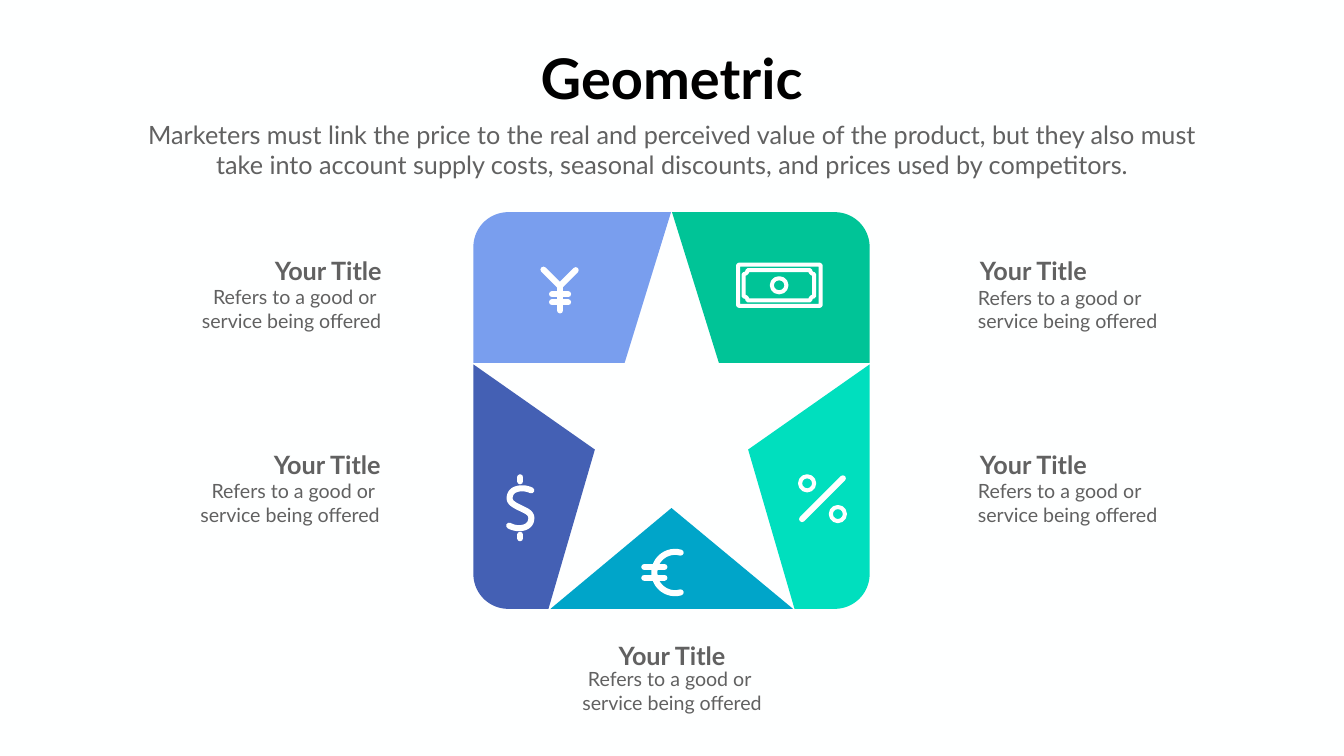
import math

from lxml import etree
from pptx import Presentation
from pptx import util as u
from pptx.dml.color import RGBColor
from pptx.enum import shapes, text
from pptx.oxml.ns import qn

PX = 9144  # one px is a hundredth of an inch
FONT, GREY, WHITE = "Lato", "616161", "FFFFFF"
STROKE, THIN = 12, 8


def arc(cx, cy, radius, start, end, steps=24):
    angles = [math.radians(start + (end - start) * i / steps) for i in range(steps + 1)]
    return [(cx + radius * math.cos(a), cy + radius * math.sin(a)) for a in angles]


def bezier(start, *curves, steps=10):
    points = [start]
    for b, c, d in curves:
        a = points[-1]
        for i in range(1, steps + 1):
            t = i / steps
            weights = ((1 - t) ** 3, 3 * t * (1 - t) ** 2, 3 * t * t * (1 - t), t ** 3)
            points.append(tuple(sum(w * p[k] for w, p in zip(weights, (a, b, c, d)))
                                for k in (0, 1)))
    return points


# Content
TITLE = "Geometric"
SUBTITLE = ("Marketers must link the price to the real and perceived value of the product, "
            "but they also must take into account supply costs, seasonal discounts, "
            "and prices used by competitors.")
LABEL = "Your Title"
BODY = "Refers to a good or \nservice being offered"
LEFT, CENTER, RIGHT = text.PP_ALIGN.LEFT, text.PP_ALIGN.CENTER, text.PP_ALIGN.RIGHT
LABELS = [  # label left and top, body left and top, alignment
    (1934, 502, 1930, 562, LEFT),
    (513, 502, 374, 561, RIGHT),
    (1934, 887, 1930, 946, LEFT),
    (511, 886, 371, 946, RIGHT),
    (1206, 1265, 1137, 1319, CENTER),
]

# Panels around the star
X1, Y1, X2, Y2, CORNER = 939, 421, 1725, 1208, 69
PANELS = [
    ("799EEE", [(1331, Y1), *arc(X1 + CORNER, Y1 + CORNER, CORNER, 270, 180),
                (X1, 720), (1239, 720)]),
    ("4460B4", [(X1, 723), *arc(X1 + CORNER, Y2 - CORNER, CORNER, 180, 90),
                (1088, Y2), (1180, 892)]),
    ("00DFBE", [(1484, 892), (1576, Y2),
                *arc(X2 - CORNER, Y2 - CORNER, CORNER, 90, 0), (X2, 723)]),
    ("00A5C9", [(1092, Y2), (1573, Y2), (1332, 1008)]),
    ("00C497", [(X2, 720), *arc(X2 - CORNER, Y1 + CORNER, CORNER, 0, -90),
                (1333, Y1), (1426, 720)]),
]
STAR_TIPS = [
    [(1086, 1212), (1092, Y2), (1088, Y2)],
    [(934, 720), (X1, 723), (X1, 720)],
    [(1578, 1212), (1576, Y2), (1572, Y2)],
    [(1730, 720), (X2, 720), (X2, 723)],
    [(1332, 417), (1331, Y1), (1333, Y1)],
]

# Icons
BARS = [
    (1032, 947, 1032, 955), (1032, 1061, 1032, 1068),                      # dollar
    (1278, 1125, 1318, 1125), (1278, 1146, 1318, 1146),                    # euro
    (1078, 535, 1111, 568), (1142, 536, 1110, 568), (1111, 569, 1111, 616),  # yen
    (1095, 584, 1127, 584), (1095, 600, 1127, 600),
    (1591, 1030, 1672, 949),                                               # percent
]
CURVES = [
    bezier((1054, 973),
           ((1041, 967), (1028, 968), (1019, 973)),
           ((1013, 977), (1011, 983), (1011, 989)),
           ((1011, 998), (1022, 1003), (1032, 1008)),
           ((1045, 1014), (1054, 1018), (1054, 1028)),
           ((1054, 1043), (1041, 1048), (1030, 1048)),
           ((1022, 1048), (1016, 1046), (1010, 1043))),
    arc(1339, 1136, 41, -74, -286),
]
KIND = shapes.MSO_SHAPE
OUTLINES = [  # kind, left, top, width, height, corner size
    (KIND.ROUNDED_RECTANGLE, 1464, 525, 164, 82, 3),
    (KIND.PLAQUE, 1475, 536, 140, 60, 8),
    (KIND.OVAL, 1531, 552, 29, 28, 0),
    (KIND.OVAL, 1587, 945, 28, 28, 0),
    (KIND.OVAL, 1648, 1006, 28, 28, 0),
]


def color(value):
    return RGBColor.from_string(value)


def set_stroke(shape, width):
    shape.line.color.rgb = color(WHITE)
    shape.line.width = u.Emu(width * PX)
    shape.line._get_or_add_ln().set("cap", "rnd")


def add_outline(slide, points, close):
    scaled = [(x * PX, y * PX) for x, y in points]
    builder = slide.shapes.build_freeform(*scaled[0], scale=1.0)
    builder.add_line_segments(scaled[1:], close=close)
    shape = builder.convert_to_shape()
    shape.shadow.inherit = False
    return shape


def add_panel(slide, points, fill):
    shape = add_outline(slide, points, True)
    shape.fill.solid()
    shape.fill.fore_color.rgb = color(fill)
    shape.line.fill.background()


def set_text(shape, box, content, size, align, bold=False, tone=GREY):
    shape.left, shape.top, shape.width, shape.height = (u.Emu(v * PX) for v in box)
    frame = shape.text_frame
    frame.text = content
    frame.word_wrap = True
    frame.auto_size = text.MSO_AUTO_SIZE.NONE
    frame.vertical_anchor = text.MSO_ANCHOR.TOP
    for paragraph in frame.paragraphs:
        paragraph.alignment = align
        for run in paragraph.runs:
            run.font.name, run.font.size, run.font.bold = FONT, u.Pt(size), bold
            run.font.color.rgb = color(tone)


def add_text(slide, box, *style, **options):
    set_text(slide.shapes.add_textbox(0, 0, 0, 0), box, *style, **options)


def main():
    presentation = Presentation()
    presentation.slide_width, presentation.slide_height = u.Emu(2666 * PX), u.Emu(1500 * PX)
    slide = presentation.slides.add_slide(presentation.slide_layouts[5])
    slide.background.fill.solid()
    slide.background.fill.fore_color.rgb = color("FEFFFF")

    # Panels and star tips
    for fill, points in PANELS:
        add_panel(slide, points, fill)
    for points in STAR_TIPS:
        add_panel(slide, points, WHITE)

    # Icons
    for bar in BARS:
        line = slide.shapes.add_connector(shapes.MSO_CONNECTOR.STRAIGHT, *(v * PX for v in bar))
        set_stroke(line, STROKE)
        etree.SubElement(line._element.spPr, qn("a:effectLst"))
    for points in CURVES:
        curve = add_outline(slide, points, False)
        curve.fill.background()
        set_stroke(curve, STROKE)
    for kind, left, top, width, height, corner in OUTLINES:
        shape = slide.shapes.add_shape(kind, *(v * PX for v in (left, top, width, height)))
        shape.shadow.inherit = False
        shape.fill.background()
        set_stroke(shape, THIN)
        if corner:
            shape.adjustments[0] = corner / height

    # Heading and labels
    set_text(slide.shapes.title, (1055, 82, 555, 145), TITLE, 80, CENTER, True, "000000")
    add_text(slide, (268, 231, 2130, 131), SUBTITLE, 36, CENTER)
    for label_x, label_y, body_x, body_y, align in LABELS:
        add_text(slide, (body_x, body_y, 392, 101), BODY, 28, align)
        add_text(slide, (label_x, label_y, 254, 51), LABEL, 36, align, bold=True)

    presentation.save("out.pptx")


if __name__ == "__main__":
    main()
